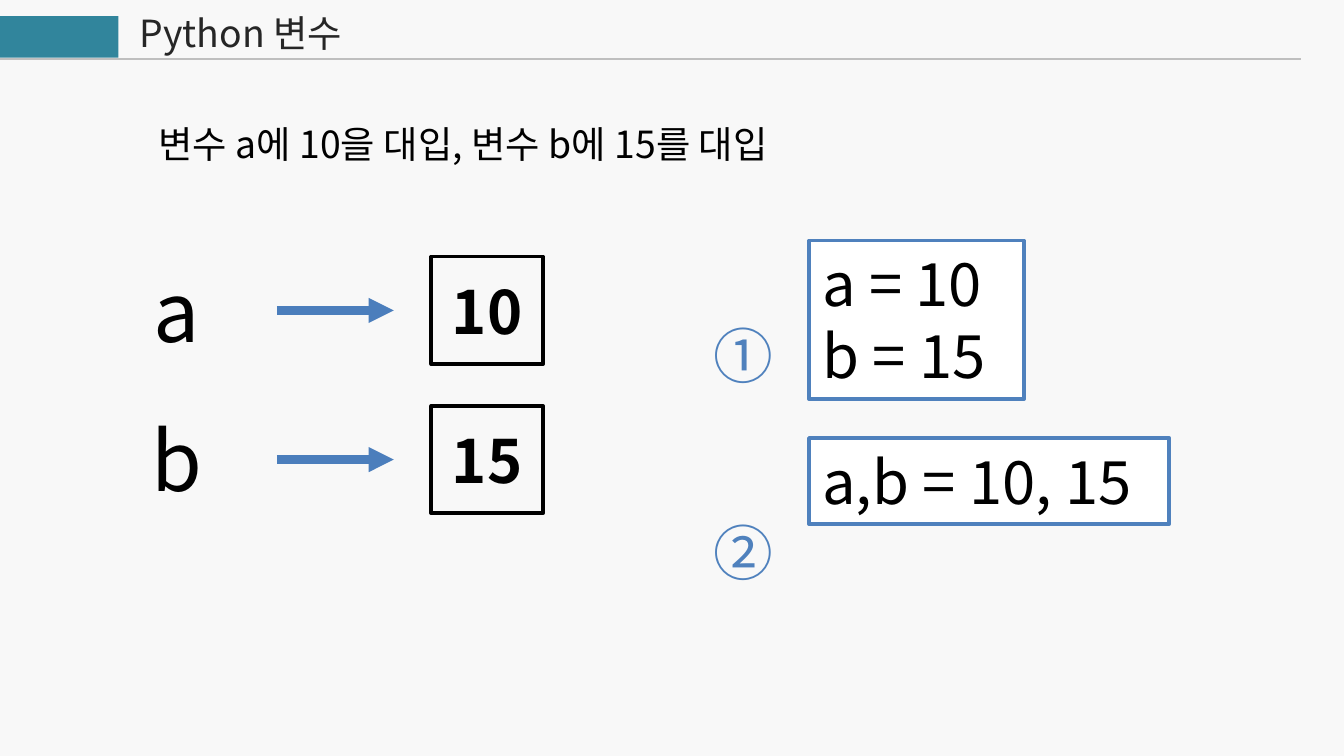
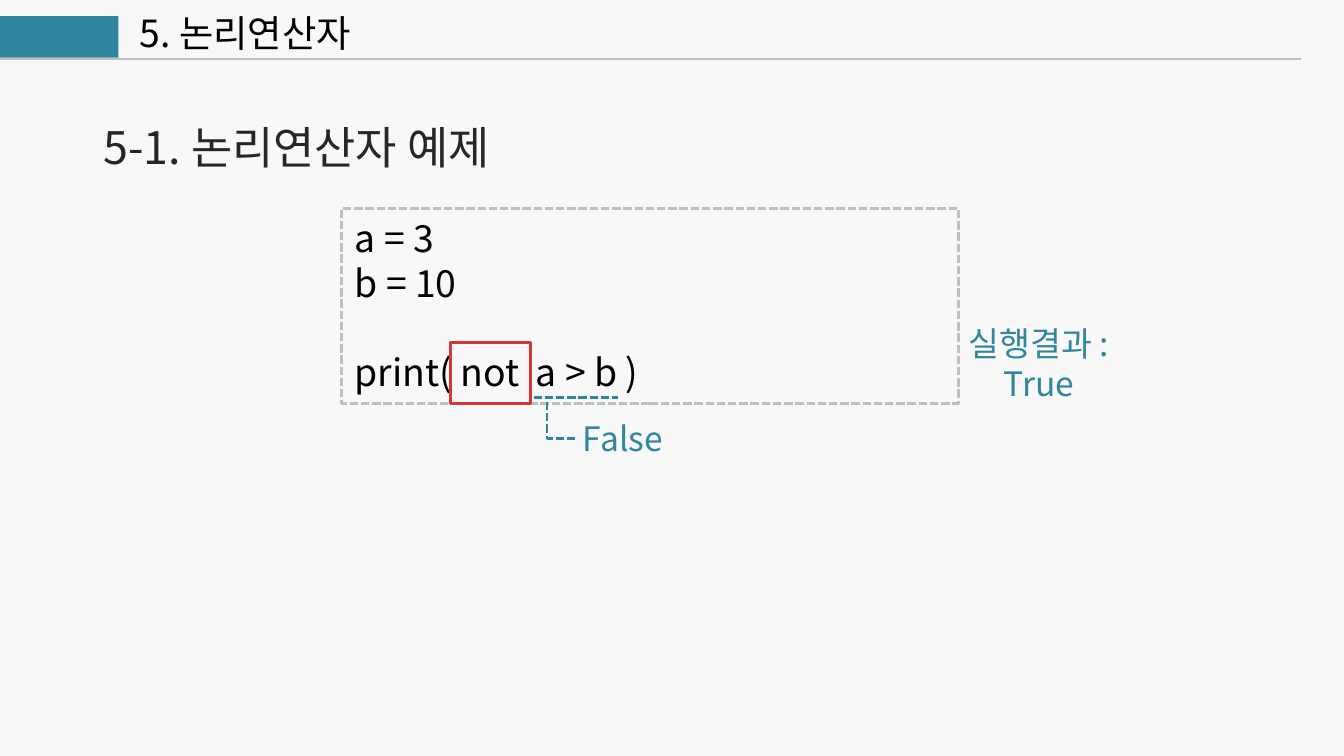
from dataclasses import dataclass

from lxml import etree
from pptx import Presentation
from pptx.dml.color import RGBColor
from pptx.enum.dml import MSO_LINE
from pptx.enum.shapes import MSO_CONNECTOR, MSO_SHAPE
from pptx.enum.text import MSO_ANCHOR, PP_ALIGN
from pptx.oxml.ns import qn
from pptx.util import Inches, Pt

RECTANGLE = MSO_SHAPE.RECTANGLE
STRAIGHT = MSO_CONNECTOR.STRAIGHT
DASH = MSO_LINE.SQUARE_DOT
LEFT, CENTER = PP_ALIGN.LEFT, PP_ALIGN.CENTER
TOP, MIDDLE = MSO_ANCHOR.TOP, MSO_ANCHOR.MIDDLE
BLANK_LAYOUT = 6


@dataclass(frozen=True)
class Theme:
    font: str = "Noto Sans CJK KR"
    background: str = "F8F8F8"
    teal: str = "31859C"
    blue: str = "4F81BD"
    arrow: str = "4B7EBC"
    red: str = "DC3434"
    gray: str = "BFBFBF"
    dark: str = "262626"
    black: str = "000000"
    white: str = "FFFFFF"
    note_size: int = 18
    body_size: int = 20
    heading_size: int = 24
    code_size: int = 32
    name_size: int = 44


THEME = Theme()


def color(value):
    return RGBColor.from_string(value)


def write_text(shape, lines, size, text_color=THEME.black, align=LEFT,
               anchor=TOP, bold=False, gaps=None):
    """Write one paragraph per line; gaps maps a line index to points before it."""
    frame = shape.text_frame
    frame.word_wrap = True
    frame.vertical_anchor = anchor
    font_format = {"name": THEME.font, "size": Pt(size), "bold": bold}
    for index, line in enumerate(lines):
        paragraph = frame.paragraphs[0] if index == 0 else frame.add_paragraph()
        paragraph.alignment = align
        if gaps and index in gaps:
            paragraph.space_before = Pt(gaps[index])
        run = paragraph.add_run()
        run.text = line
        for name, value in font_format.items():
            setattr(run.font, name, value)
        run.font.color.rgb = color(text_color)
        east_asian = etree.SubElement(run.font._element, qn("a:ea"))
        east_asian.set("typeface", THEME.font)


def add_label(slide, box, lines, size, **text_format):
    shape = slide.shapes.add_textbox(*map(Inches, box))
    write_text(shape, lines, size, **text_format)


def style_line(line, line_color, width, dash=None):
    line.color.rgb = color(line_color)
    line.width = Pt(width)
    if dash:
        line.dash_style = dash


def add_box(slide, box, fill=None, line=None):
    """Add a rectangle; line holds colour, width and an optional dash."""
    shape = slide.shapes.add_shape(RECTANGLE, *map(Inches, box))
    shape.shadow.inherit = False
    if fill:
        shape.fill.solid()
        shape.fill.fore_color.rgb = color(fill)
    else:
        shape.fill.background()
    if line:
        style_line(shape.line, *line)
    else:
        shape.line.fill.background()
    return shape


def add_line(slide, start, end, line, arrow=False):
    connector = slide.shapes.add_connector(STRAIGHT, *map(Inches, start + end))
    style_line(connector.line, *line)
    if arrow:
        head = etree.SubElement(connector.line._get_or_add_ln(), qn("a:tailEnd"))
        head.set("type", "triangle")
    etree.SubElement(connector._element.spPr, qn("a:effectLst"))


def add_path(slide, points, line):
    start, *others = [tuple(map(Inches, point)) for point in points]
    builder = slide.shapes.build_freeform(*start)
    builder.add_line_segments(others, close=False)
    shape = builder.convert_to_shape()
    shape.shadow.inherit = False
    shape.fill.background()
    style_line(shape.line, *line)


def add_titled_slide(presentation, title, title_color):
    slide = presentation.slides.add_slide(presentation.slide_layouts[BLANK_LAYOUT])
    slide.background.fill.solid()
    slide.background.fill.fore_color.rgb = color(THEME.background)
    add_label(slide, (0.94, 0.03, 4.85, 0.44), [title], THEME.body_size,
              text_color=title_color)
    add_box(slide, (-0.01, 0.12, 0.89, 0.31), fill=THEME.teal)
    add_line(slide, (-0.01, 0.44), (9.68, 0.44), (THEME.gray, 1))
    return slide


def add_assignment(slide, top, name, value):
    """Add a row: variable name, arrow and boxed value."""
    box = add_box(slide, (3.21, top, 0.83, 0.8), line=(THEME.black, 2))
    write_text(box, [value], THEME.code_size, align=CENTER, anchor=MIDDLE, bold=True)
    add_label(slide, (0.85, top - 0.02, 0.93, 0.84), [name], THEME.name_size,
              align=CENTER)
    middle = top + 0.4
    add_line(slide, (2.06, middle), (2.93, middle), (THEME.arrow, 4.5), arrow=True)


def add_numbered_code(slide, number, top, width, height, lines):
    box = add_box(slide, (6.02, top, width, height), fill=THEME.white,
                  line=(THEME.blue, 2))
    write_text(box, lines, THEME.code_size)
    add_label(slide, (5.21, top + 0.53, 0.84, 0.64), [number], THEME.code_size,
              text_color=THEME.blue)


def build_variables(presentation):
    slide = add_titled_slide(presentation, "Python 변수", THEME.dark)
    add_label(slide, (1.08, 0.85, 6.42, 0.44),
              ["변수 a에 10을 대입, 변수 b에 15를 대입"], THEME.body_size)
    for row, (name, value) in enumerate([("a", "10"), ("b", "15")]):
        add_assignment(slide, 1.91 + 1.11 * row, name, value)
    add_numbered_code(slide, "②", 3.26, 2.68, 0.64, ["a,b = 10, 15"])
    add_numbered_code(slide, "①", 1.79, 1.6, 1.18, ["a = 10", "b = 15"])


def build_logical_operators(presentation):
    slide = add_titled_slide(presentation, "5. 논리연산자", THEME.black)
    add_label(slide, (0.67, 0.84, 3.39, 0.5), ["5-1. 논리연산자 예제"],
              THEME.heading_size, text_color=THEME.dark)
    code = add_box(slide, (2.54, 1.55, 4.59, 1.45), line=(THEME.gray, 1.5, DASH))
    write_text(code, ["a = 3", "b = 10", "print( not  a > b )"], THEME.body_size,
               gaps={2: 24})
    note_format = {"text_color": THEME.teal, "align": CENTER}
    add_label(slide, (7.1, 2.35, 1.26, 0.71), ["실행결과 :", "True"],
              THEME.note_size, **note_format)
    add_label(slide, (4.23, 3.06, 0.81, 0.4), ["False"], THEME.note_size,
              **note_format)
    dashed = (THEME.teal, 1.5, DASH)
    add_line(slide, (3.97, 2.96), (4.6, 2.96), dashed)
    add_path(slide, [(4.28, 3.26), (4.07, 3.26), (4.07, 2.97)], dashed)
    add_box(slide, (3.35, 2.55, 0.6, 0.45), line=(THEME.red, 1.5))


def main():
    presentation = Presentation()
    presentation.slide_width = Inches(10)
    presentation.slide_height = Inches(10) * 9 // 16
    build_variables(presentation)
    build_logical_operators(presentation)
    presentation.save("out.pptx")


if __name__ == "__main__":
    main()
